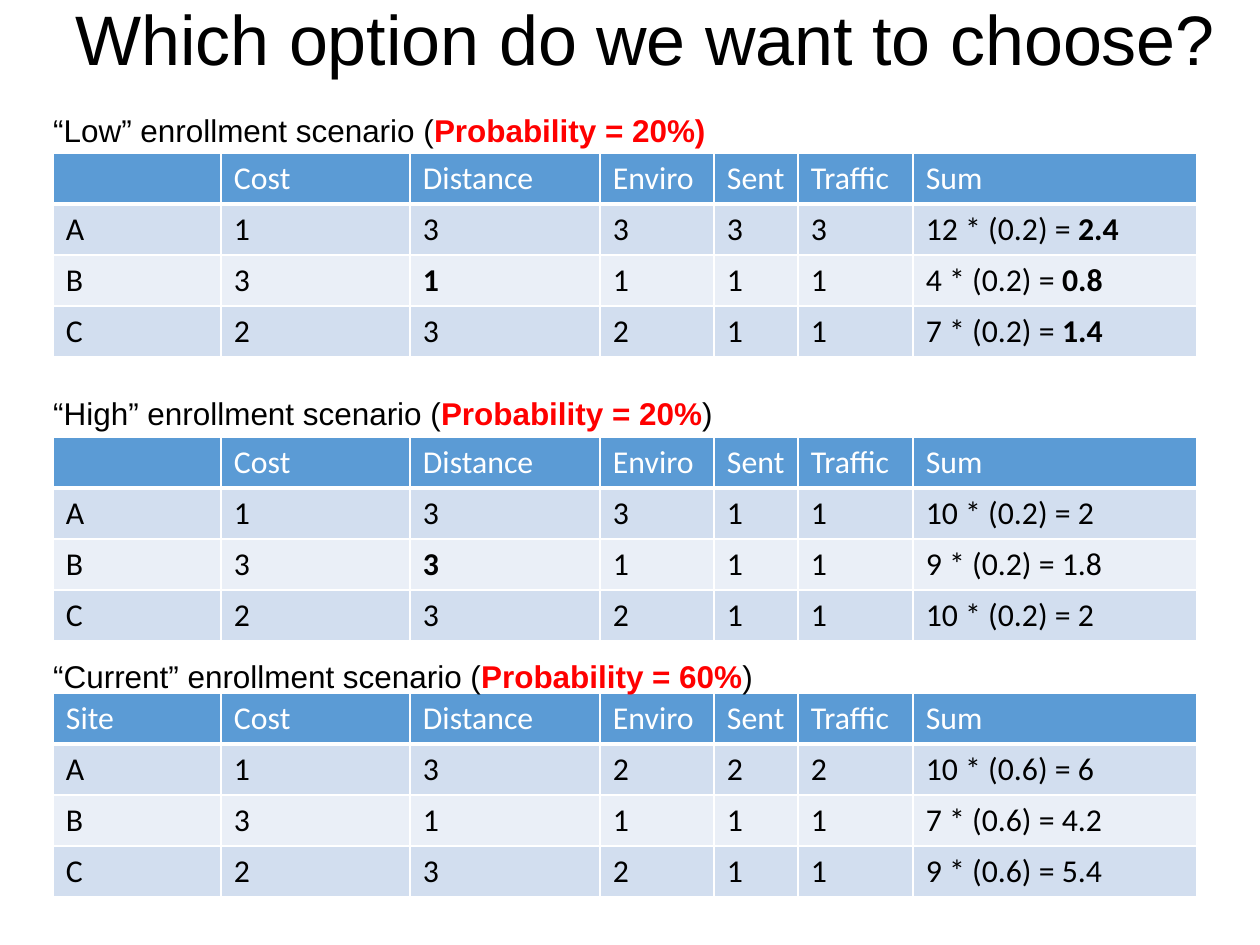
from pptx import Presentation
from pptx.dml.color import RGBColor
from pptx.enum.text import MSO_ANCHOR, MSO_AUTO_SIZE, PP_ALIGN
from pptx.oxml.ns import qn
from pptx.util import Pt
from lxml import etree

CENTER = PP_ALIGN.CENTER
MIDDLE = MSO_ANCHOR.MIDDLE
NO_FIT = MSO_AUTO_SIZE.NONE
GROW = MSO_AUTO_SIZE.SHAPE_TO_FIT_TEXT

PX = 8000
BLACK, WHITE, RED = "000000", "FFFFFF", "FF0000"
HEADER_BLUE = "5B9BD5"
BANDS = ["EAEFF7", "D2DEEF"]
COLUMN_WIDTHS = [168, 189, 190, 114, 84, 115, 284]
ROW_HEIGHT = 51
CRITERIA = ["Cost", "Distance", "Enviro", "Sent", "Traffic", "Sum"]

SCENARIOS = [
    (105, 153, 820, "“Low” enrollment scenario (|Probability = 20%)", [
        ["", *CRITERIA],
        ["A", "1", "3", "3", "3", "3", "12 * (0.2) = |2.4"],
        ["B", "3", "|1", "1", "1", "1", "4 * (0.2) = |0.8"],
        ["C", "2", "3", "2", "1", "1", "7 * (0.2) = |1.4"],
    ]),
    (388, 437, 924, "“High” enrollment scenario (|Probability = 20%|)", [
        ["", *CRITERIA],
        ["A", "1", "3", "3", "1", "1", "10 * (0.2) = 2"],
        ["B", "3", "|3", "1", "1", "1", "9 * (0.2) = 1.8"],
        ["C", "2", "3", "2", "1", "1", "10 * (0.2) = 2"],
    ]),
    (651, 693, 871, "“Current” enrollment scenario (|Probability = 60%|)", [
        ["Site", *CRITERIA],
        ["A", "1", "3", "2", "2", "2", "10 * (0.6) = 6"],
        ["B", "3", "1", "1", "1", "1", "7 * (0.6) = 4.2"],
        ["C", "2", "3", "2", "1", "1", "9 * (0.6) = 5.4"],
    ]),
]


def px(*lengths):
    return [length * PX for length in lengths]


def paint(target, color):
    target.rgb = RGBColor.from_string(color)


def write_spans(para, text, size, font, color, bold_color):
    for index, part in enumerate(text.split("|")):
        if part:
            span = para.add_run()
            span.text = part
            span.font.size = Pt(size)
            span.font.name = font
            span.font.bold = index % 2 == 1
            paint(span.font.color, bold_color if span.font.bold else color)


def add_border(cell, side, width):
    line = etree.SubElement(cell._tc.get_or_add_tcPr(), qn(f"a:ln{side}"), w=str(Pt(width)))
    fill = etree.SubElement(line, qn("a:solidFill"))
    etree.SubElement(fill, qn("a:srgbClr"), val=WHITE)


def fill_cell(cell, text, row):
    header = row == 0
    cell.margin_left, cell.margin_right, cell.margin_top, cell.margin_bottom = px(13, 12, 6, 6)
    for side in "LRTB":
        add_border(cell, side, 3 if header and side == "B" else 1)
    cell.fill.solid()
    paint(cell.fill.fore_color, HEADER_BLUE if header else BANDS[row % 2])
    color = WHITE if header else BLACK
    write_spans(cell.text_frame.paragraphs[0], text, 20, "Calibri", color, color)


def add_title(page, left, top, width, height):
    title = page.shapes.title
    title.left, title.top, title.width, title.height = px(left, top, width, height)
    frame = title.text_frame
    frame.auto_size = NO_FIT
    frame.word_wrap = True
    frame.vertical_anchor = MIDDLE
    frame.margin_left = frame.margin_right = frame.margin_top = frame.margin_bottom = 0
    para = frame.paragraphs[0]
    para.alignment = CENTER
    write_spans(para, "Which option do we want to choose?", 44.1, "Arial", BLACK, BLACK)


def add_caption(page, left, top, width, height, text):
    frame = page.shapes.add_textbox(*px(left, top, width, height)).text_frame
    frame.word_wrap = True
    frame.auto_size = GROW
    write_spans(frame.paragraphs[0], text, 19.8, "Arial", BLACK, RED)


def add_scores(page, left, top, rows):
    size = px(left, top, sum(COLUMN_WIDTHS), ROW_HEIGHT * len(rows))
    table = page.shapes.add_table(len(rows), len(COLUMN_WIDTHS), *size).table
    for column, width in zip(table.columns, COLUMN_WIDTHS):
        column.width = width * PX
    for row, texts in enumerate(rows):
        table.rows[row].height = ROW_HEIGHT * PX
        for column, text in enumerate(texts):
            fill_cell(table.cell(row, column), text, row)


def main():
    deck = Presentation()
    deck.slide_width, deck.slide_height = px(1260, 945)
    page = deck.slides.add_slide(deck.slide_layouts[5])
    add_title(page, -105, -42, 1502, 158)
    for caption_top, table_top, caption_width, caption, rows in SCENARIOS:
        add_scores(page, 53, table_top, rows)
        add_caption(page, 42, caption_top, caption_width, 49, caption)
    deck.save("out.pptx")


if __name__ == "__main__":
    main()
